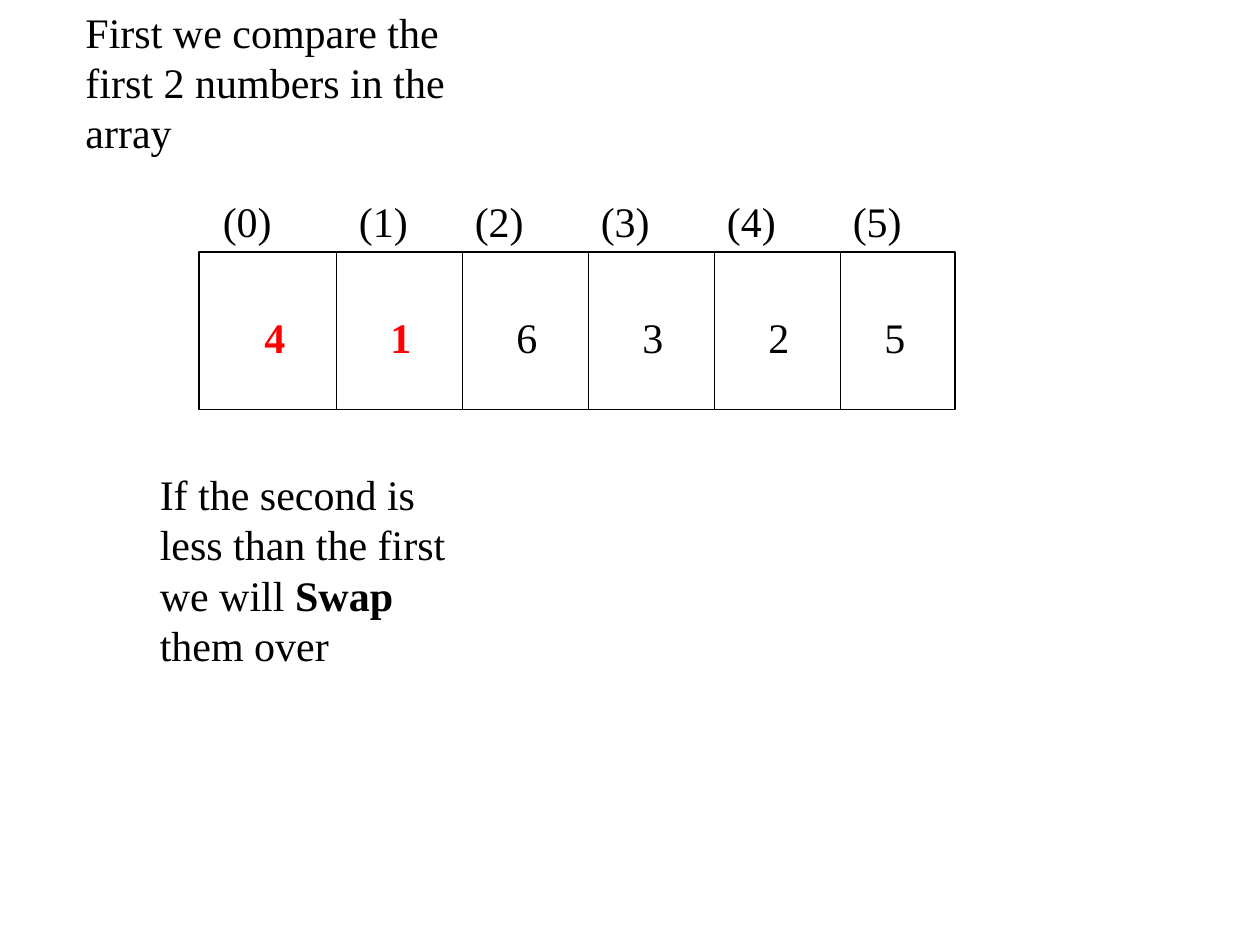
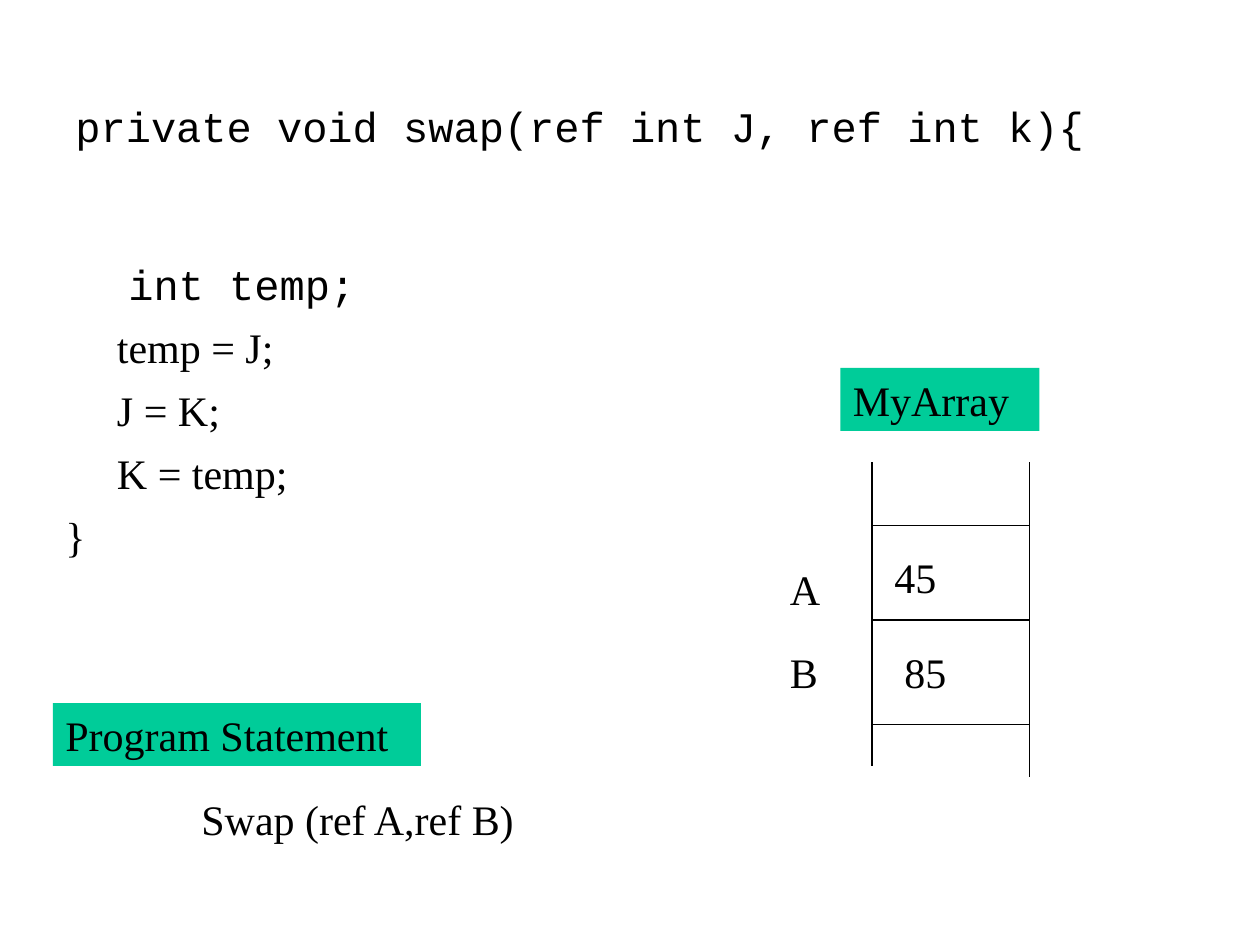
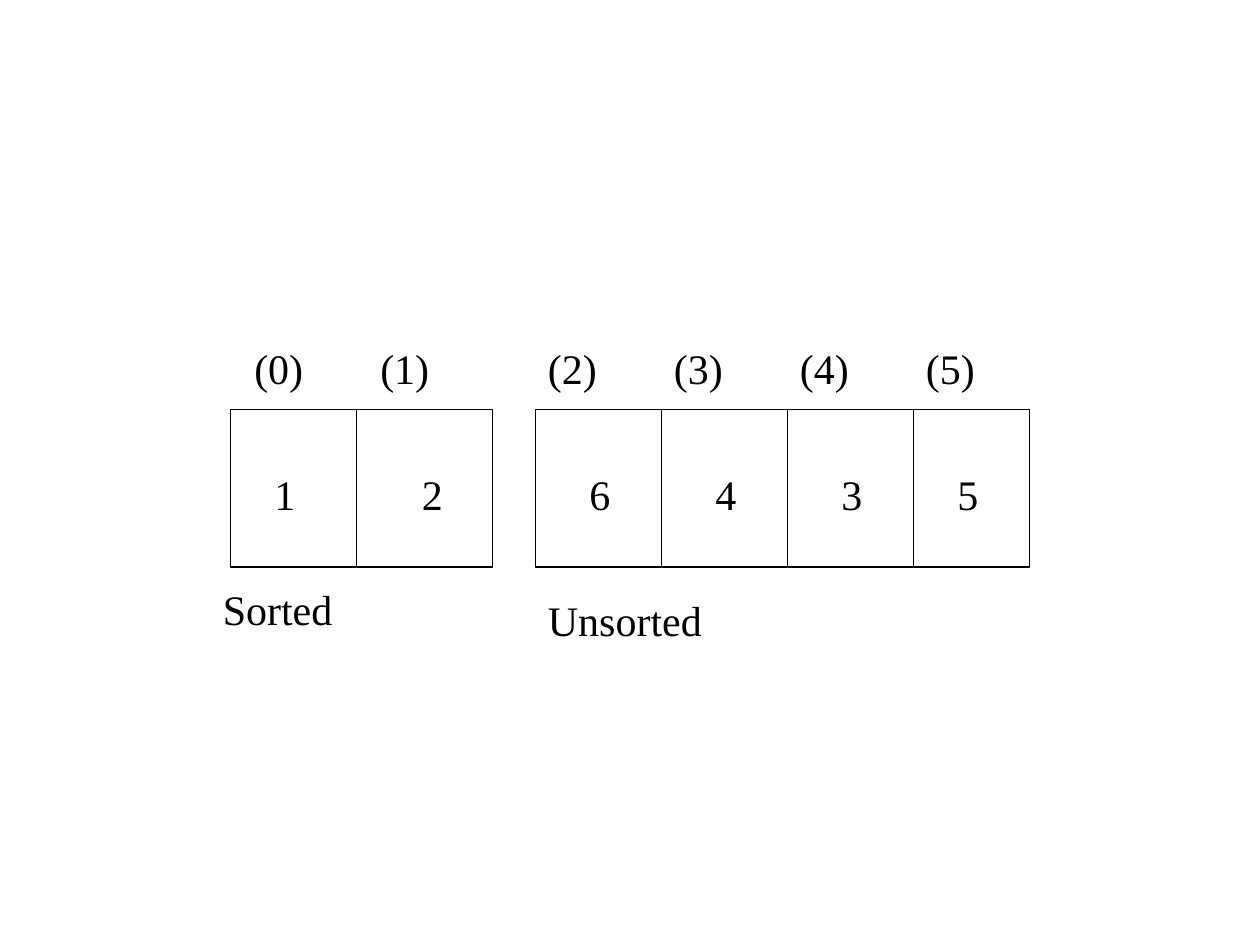
from dataclasses import dataclass

from lxml import etree
from pptx import Presentation
from pptx.dml.color import RGBColor
from pptx.enum.shapes import MSO_CONNECTOR, MSO_SHAPE
from pptx.enum.text import MSO_ANCHOR, MSO_AUTO_SIZE, PP_ALIGN
from pptx.oxml.ns import qn
from pptx.util import Inches, Pt

RECTANGLE = MSO_SHAPE.RECTANGLE
STRAIGHT = MSO_CONNECTOR.STRAIGHT
TOP = MSO_ANCHOR.TOP
LEFT = PP_ALIGN.LEFT
GROW = MSO_AUTO_SIZE.SHAPE_TO_FIT_TEXT
BLANK_LAYOUT = 6

LINE_HEIGHT = 0.5
VALUE_DROP = 0.42
INDEX_WIDTHS = (0.83, 0.67, 0.67, 0.83, 0.92, 0.67)
VALUE_WIDTHS = (0.42, 0.5, 0.5, 0.42, 0.42, 0.58)


@dataclass(frozen=True)
class Theme:
    """Colours, fonts and sizes shared by all slides."""

    ink: RGBColor = RGBColor(0x00, 0x00, 0x00)
    highlight: RGBColor = RGBColor(0xFF, 0x00, 0x00)
    banner: RGBColor = RGBColor(0x00, 0xCC, 0x99)
    paper: RGBColor = RGBColor(0xFF, 0xFF, 0xFF)
    body_font: str = "Times New Roman"
    code_font: str = "Courier New"
    text_size: Pt = Pt(24)
    line_width: Pt = Pt(0.75)


@dataclass(frozen=True)
class Box:
    """A rectangle in inches."""

    left: float
    top: float
    width: float
    height: float = LINE_HEIGHT

    def inside(self, left, top, width, height=LINE_HEIGHT):
        """Return a box placed relative to this one."""
        return Box(self.left + left, self.top + top, width, height)

    def lengths(self):
        """Return left, top, width and height as lengths."""
        return [Inches(side) for side in (self.left, self.top, self.width, self.height)]


THEME = Theme()


def write_text(shape, text, font=THEME.body_font, colour=THEME.ink, bold=False, strong=""):
    """Fill a shape with one paragraph, setting the strong phrase in bold."""
    frame = shape.text_frame
    frame.word_wrap = True
    frame.auto_size = GROW
    frame.vertical_anchor = TOP
    para = frame.paragraphs[0]
    para.alignment = LEFT
    before, phrase, after = text.partition(strong) if strong else (text, "", "")
    for part in filter(None, (before, phrase, after)):
        span = para.add_run()
        span.text = part
        span.font.name = font
        span.font.size = THEME.text_size
        span.font.color.rgb = colour
        span.font.bold = bold or part == strong


def add_text(page, box, text, **style):
    """Add a text box."""
    write_text(page.shapes.add_textbox(*box.lengths()), text, **style)


def add_banner(page, box, text):
    """Add a filled heading bar."""
    banner = page.shapes.add_shape(RECTANGLE, *box.lengths())
    banner.shadow.inherit = False
    banner.fill.solid()
    banner.fill.fore_color.rgb = THEME.banner
    banner.line.fill.background()
    write_text(banner, text)


def add_line(page, start, end):
    """Draw a thin straight line between two points."""
    line = page.shapes.add_connector(STRAIGHT, *map(Inches, start + end))
    line.line.color.rgb = THEME.ink
    line.line.width = THEME.line_width
    etree.SubElement(line._element.spPr, qn("a:effectLst"))


def add_array(page, box, values, index_lefts, value_lefts, dividers, first=0, index_rise=0.5, active=()):
    """Draw a row of array cells with indices above and values inside."""
    outline = page.shapes.add_shape(RECTANGLE, *box.lengths())
    outline.shadow.inherit = False
    outline.fill.background()
    outline.line.color.rgb = THEME.ink
    outline.line.width = THEME.line_width
    for divider in dividers:
        across = box.left + divider
        add_line(page, (across, box.top), (across, box.top + box.height))
    cells = zip(values, index_lefts, value_lefts)
    for index, (value, index_left, value_left) in enumerate(cells, first):
        add_text(page, box.inside(index_left, -index_rise, INDEX_WIDTHS[index]), f"({index})")
        is_active = index in active
        add_text(page, box.inside(value_left, VALUE_DROP, VALUE_WIDTHS[index]), value,
                 colour=THEME.highlight if is_active else THEME.ink, bold=is_active)


def add_swap_code(page, box):
    """Write the swap method, one line of code to a box."""
    add_text(page, box.inside(0.08, 0, 9.08), "private void swap(ref int J, ref int k){",
             font=THEME.code_font)
    add_text(page, box.inside(0.5, 1.25, 4.08), "int temp;", font=THEME.code_font)
    for step, statement in enumerate(("temp = J;", "J = K;", "K = temp;")):
        add_text(page, box.inside(0.41, 1.75 + step * LINE_HEIGHT, 5), statement)
    add_text(page, box.inside(0, 3.25, 2), "}")


def add_memory(page, box):
    """Draw the open-ended memory column with its two variables."""
    right = box.left + box.width
    add_line(page, (box.left, box.top), (box.left, box.top + 2.41))
    add_line(page, (right, box.top), (right, box.top + box.height))
    for drop in (0.5, 1.25, 2.08):
        add_line(page, (box.left, box.top + drop), (right, box.top + drop))
    add_banner(page, box.inside(-0.25, -0.75, 1.58), "MyArray")
    add_text(page, box.inside(-0.75, 0.75, 0.75), "A")
    add_text(page, box.inside(-0.75, 1.41, 0.67), "B")
    add_text(page, box.inside(0.08, 0.66, 1), "45")
    add_text(page, box.inside(0.16, 1.41, 0.83), "85")


def add_call(page, box):
    """Show the statement that calls the swap method."""
    add_banner(page, box, "Program Statement")
    add_text(page, box.inside(1.08, 0.67, 3.5), "Swap (ref A,ref B)")


def build_compare(page):
    """Build the slide that compares the first two numbers."""
    add_array(page, Box(1.58, 2, 6, 1.25), "416325",
              index_lefts=(0.09, 1.17, 2.09, 3.09, 4.09, 5.09),
              value_lefts=(0.42, 1.42, 2.42, 3.42, 4.42, 5.34),
              dividers=[1.09 + cell for cell in range(5)], active=(0, 1))
    add_text(page, Box(0.58, 0, 3.42, 1.3), "First we compare the first 2 numbers in the array")
    add_text(page, Box(1.17, 3.67, 2.5, 1.7),
             "If the second is less than the first we will Swap them over", strong="Swap ")


def build_swap(page):
    """Build the slide that explains the swap method."""
    add_swap_code(page, Box(0.42, 0.75, 9.16, 3.75))
    add_memory(page, Box(6.92, 3.67, 1.25, 2.5))
    add_call(page, Box(0.42, 5.58, 2.92))


def build_partition(page):
    """Build the slide that parts sorted from unsorted cells."""
    add_array(page, Box(1.83, 3.25, 2.08, 1.25), "12", index_lefts=(0.09, 1.09),
              value_lefts=(0.25, 1.42), dividers=(1,), index_rise=0.58)
    add_array(page, Box(4.25, 3.25, 3.92, 1.25), "6435", index_lefts=range(4),
              value_lefts=(0.33, 1.33, 2.33, 3.25), dividers=range(4), first=2, index_rise=0.58)
    add_text(page, Box(1.67, 4.58, 1.17), "Sorted")
    add_text(page, Box(4.25, 4.67, 1.58), "Unsorted")


def main():
    """Build and save the deck."""
    deck = Presentation()
    deck.slide_width = Inches(10)
    deck.slide_height = Inches(7.5)
    for build in (build_compare, build_swap, build_partition):
        page = deck.slides.add_slide(deck.slide_layouts[BLANK_LAYOUT])
        page.background.fill.solid()
        page.background.fill.fore_color.rgb = THEME.paper
        build(page)
    deck.save("out.pptx")


if __name__ == "__main__":
    main()
